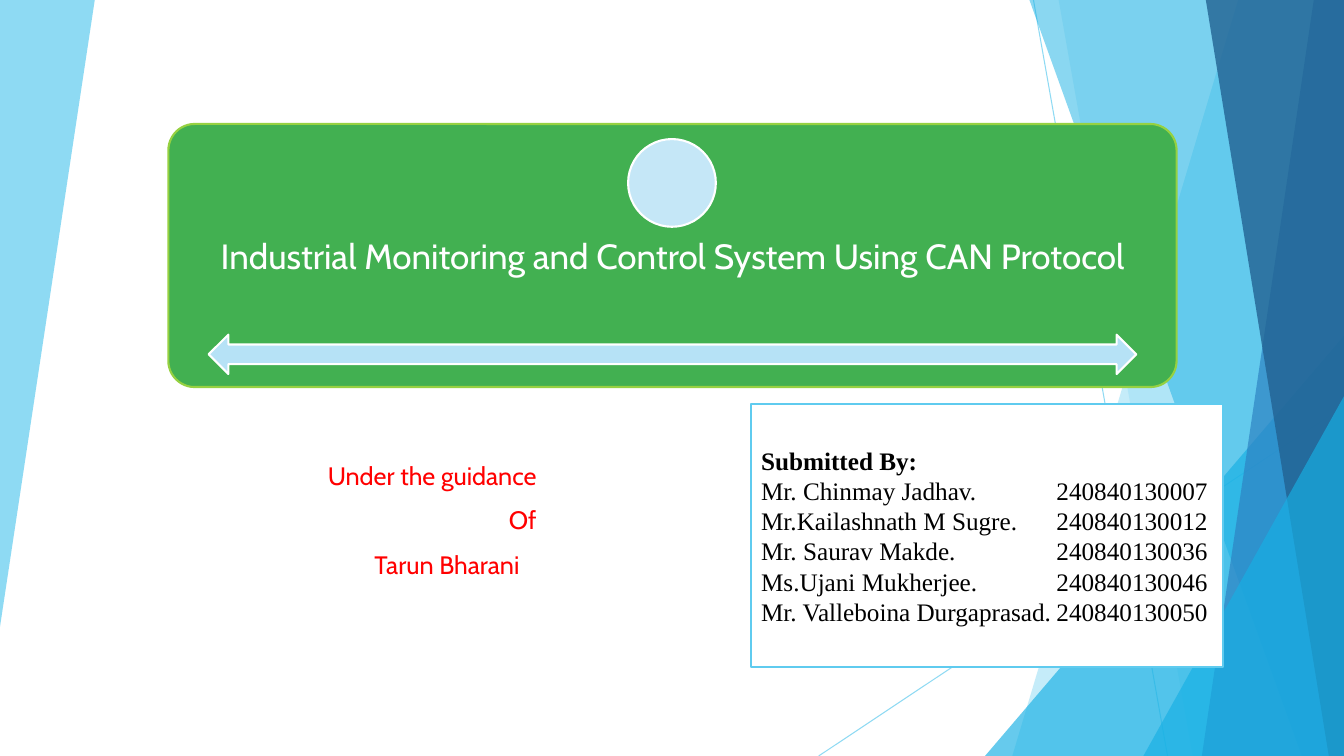
"""Build the title slide of the CAN monitoring project."""
from lxml.etree import SubElement
from pptx import Presentation
from pptx.dml.color import RGBColor as RGB
from pptx.enum.shapes import MSO_CONNECTOR as LINK, MSO_SHAPE as SHAPE
from pptx.enum.text import MSO_ANCHOR as ANCHOR, PP_ALIGN as ALIGN
from pptx.oxml.ns import qn
from pptx.util import Inches, Pt

SKY = RGB(0x5F, 0xCB, 0xEF)
CYAN = RGB(0x17, 0xB0, 0xE4)
BLUE = RGB(0x2E, 0x83, 0xC3)
NAVY = RGB(0x22, 0x62, 0x92)
GREEN = RGB(0x42, 0xB0, 0x51)
LIME = RGB(0x96, 0xD1, 0x41)
PALE = RGB(0xC5, 0xE7, 0xF7)
ICE = RGB(0xB6, 0xE2, 0xF6)
WHITE = RGB(0xFF, 0xFF, 0xFF)
BLACK = RGB(0, 0, 0)
RED = RGB(0xFF, 0, 0)
WIDE, HIGH = 13.33, 7.5

deck = Presentation()
deck.slide_width, deck.slide_height = Inches(WIDE), Inches(HIGH)
slide = deck.slides.add_slide(deck.slide_layouts[6])
shapes = slide.shapes


def paint(shape, color, alpha=100, edge=None):
    """Fill a shape, with an opacity in percent and an optional edge."""
    shape.shadow.inherit = False
    shape.fill.solid()
    shape.fill.fore_color.rgb = color
    if alpha < 100:
        tint = shape.fill._xPr.find(".//" + qn("a:srgbClr"))
        SubElement(tint, qn("a:alpha"), val=str(alpha * 1000))
    if edge is None:
        shape.line.fill.background()
    else:
        shape.line.color.rgb = edge
        shape.line.width = Pt(1.5)


def write(frame, lines, font, size, color, align):
    """Put lines into a text frame as evenly styled paragraphs."""
    frame.word_wrap = True
    frame.text = "\n".join(lines)
    for para in frame.paragraphs:
        para.alignment = align
        for run in para.runs:
            run.font.name = font
            run.font.size = Pt(size)
            run.font.color.rgb = color


for x1, y1, x2, y2 in [(10.25, 0, 11.58, HIGH), (WIDE, 4.03, 8.12, HIGH)]:
    ray = shapes.add_connector(LINK.STRAIGHT, Inches(x1), Inches(y1), Inches(x2), Inches(y2))
    ray.line.color.rgb = SKY
    ray.line.width = Pt(0.75)
    tint = ray.line.fill._xPr.find(".//" + qn("a:srgbClr"))
    SubElement(tint, qn("a:alpha"), val="70000")
    SubElement(ray._element.spPr, qn("a:effectLst"))

facets = [
    ([(0, 0), (0.94, 0), (0, 6.22)], SKY, 70),
    ([(12.28, 0), (WIDE, 0), (WIDE, HIGH), (10.04, HIGH)], SKY, 36),
    ([(10.5, 0), (WIDE, 0), (WIDE, HIGH), (11.83, HIGH)], SKY, 20),
    ([(9.77, HIGH), (WIDE, 3.33), (WIDE, HIGH)], CYAN, 66),
    ([(10.21, 0), (WIDE, 0), (WIDE, HIGH), (12.91, HIGH)], CYAN, 50),
    ([(13.03, 0), (WIDE, 0), (WIDE, HIGH), (11.92, HIGH)], BLUE, 70),
    ([(11.96, 0), (WIDE, 0), (WIDE, HIGH), (13.18, HIGH)], NAVY, 80),
    ([(11.34, HIGH), (WIDE, 3.93), (WIDE, HIGH)], CYAN, 66),
]
for spots, color, alpha in facets:
    first, *rest = [(Inches(x), Inches(y)) for x, y in spots]
    pen = shapes.build_freeform(*first)
    pen.add_line_segments(rest, close=True)
    paint(pen.convert_to_shape(), color, alpha)

banner = shapes.add_shape(SHAPE.ROUNDED_RECTANGLE, Inches(1.67), Inches(1.23), Inches(10), Inches(2.61))
banner.adjustments[0] = 0.1
paint(banner, GREEN, edge=LIME)
title = banner.text_frame
title.vertical_anchor = ANCHOR.MIDDLE
write(title, ["Industrial Monitoring and Control System Using CAN Protocol"],
      "Cabin", 25, WHITE, ALIGN.CENTER)

disc = shapes.add_shape(SHAPE.OVAL, Inches(6.23), Inches(1.38), Inches(0.87), Inches(0.87))
paint(disc, PALE, edge=WHITE)
arrow = shapes.add_shape(SHAPE.LEFT_RIGHT_ARROW, Inches(2.07), Inches(3.32), Inches(9.2), Inches(0.39))
paint(arrow, ICE, edge=WHITE)

guide = shapes.add_textbox(Inches(2.97), Inches(4.52), Inches(2.45), Inches(1.76)).text_frame
write(guide, ["Under the guidance", "Of", "Tarun Bharani"], "Cabin", 18, RED, ALIGN.RIGHT)
for para in guide.paragraphs:
    para.space_before = Pt(10)
para._p.get_or_add_pPr().set("marR", str(Inches(0.17)))

team = [
    ("Mr. Chinmay Jadhav.", "240840130007"),
    ("Mr.Kailashnath M Sugre.", "240840130012"),
    ("Mr. Saurav Makde.", "240840130036"),
    ("Ms.Ujani Mukherjee.", "240840130046"),
    ("Mr. Valleboina Durgaprasad.", "240840130050"),
]
card = shapes.add_shape(SHAPE.RECTANGLE, Inches(7.45), Inches(4.01), Inches(4.68), Inches(2.61))
paint(card, WHITE, edge=SKY)
roll = card.text_frame
roll.vertical_anchor = ANCHOR.MIDDLE
write(roll, ["Submitted By:"] + ["\t".join(row) for row in team],
      "Times New Roman", 18, BLACK, ALIGN.LEFT)
head, *rows = roll.paragraphs
head.runs[0].font.bold = True
for para in rows:
    tabs = SubElement(para._p.get_or_add_pPr(), qn("a:tabLst"))
    SubElement(tabs, qn("a:tab"), pos=str(Inches(2.93)), algn="l")

deck.save("out.pptx")
